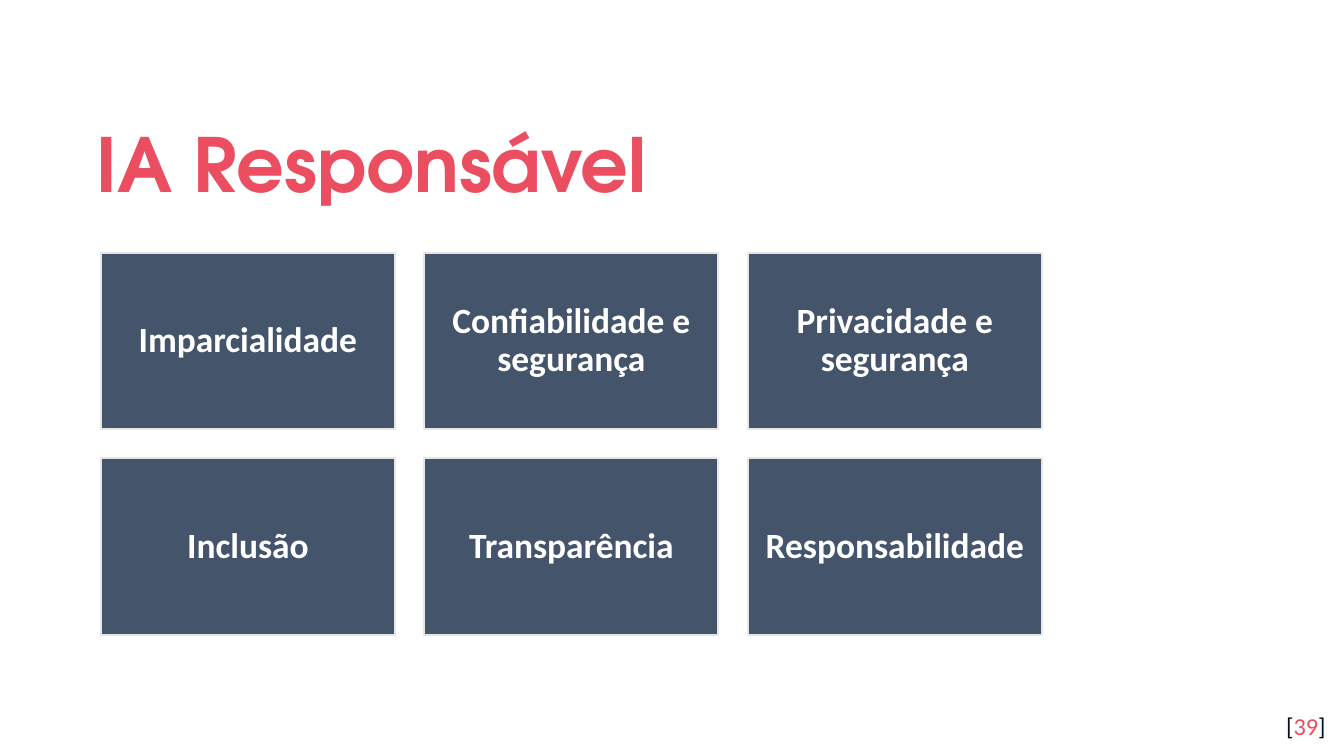
from pptx import Presentation
from pptx.dml.color import RGBColor
from pptx.enum.shapes import MSO_SHAPE
from pptx.enum.text import MSO_ANCHOR, MSO_AUTO_SIZE, PP_ALIGN
from pptx.util import Pt

CORAL = RGBColor(0xEA, 0x4E, 0x60)
NAVY = RGBColor(0x04, 0x0A, 0x24)
SLATE = RGBColor(0x44, 0x54, 0x6A)
LIGHT_GRAY = RGBColor(0xE7, 0xE6, 0xE6)
WHITE = RGBColor(0xFF, 0xFF, 0xFF)

PRINCIPLES = [
    "Imparcialidade", "Confiabilidade e segurança", "Privacidade e segurança",
    "Inclusão", "Transparência", "Responsabilidade",
]
COLUMNS = 3
GRID_LEFT, GRID_TOP = 54, 135.4
CARD_WIDTH, CARD_HEIGHT = 157.6, 94.5
GAP = 15.7


def write_text(sp, runs, size, font="Calibri", bold=False, align=PP_ALIGN.LEFT,
               anchor=MSO_ANCHOR.MIDDLE, spacing=1.0, inset=7.2):
    """Fill the shape with one paragraph of (text, colour) runs."""
    tf = sp.text_frame
    tf.word_wrap = True
    tf.auto_size = MSO_AUTO_SIZE.NONE
    tf.vertical_anchor = anchor
    tf.margin_left = tf.margin_right = Pt(inset)
    tf.margin_top = tf.margin_bottom = Pt(inset)
    p = tf.paragraphs[0]
    p.alignment = align
    p.line_spacing = spacing
    p.space_before = Pt(0)
    for text, color in runs:
        r = p.add_run()
        r.text = text
        r.font.name = font
        r.font.size = Pt(size)
        r.font.bold = bold
        r.font.color.rgb = color


def add_title(s, text):
    sp = s.shapes.title
    sp.left, sp.top, sp.width, sp.height = Pt(44.6), Pt(50.4), Pt(631.4), Pt(66.2)
    write_text(sp, [(text, CORAL)], 40, font="TeX Gyre Adventor", bold=True,
               spacing=1.15)


def add_card(s, text, left, top):
    sp = s.shapes.add_shape(MSO_SHAPE.RECTANGLE, Pt(left), Pt(top),
                            Pt(CARD_WIDTH), Pt(CARD_HEIGHT))
    sp.shadow.inherit = False
    sp.fill.solid()
    sp.fill.fore_color.rgb = SLATE
    sp.line.color.rgb = LIGHT_GRAY
    sp.line.width = Pt(1)
    write_text(sp, [(text, WHITE)], 19, bold=True, align=PP_ALIGN.CENTER,
               spacing=0.9, inset=5.7)


def add_page_number(s, number):
    sp = s.shapes.add_textbox(Pt(674), Pt(373.7), Pt(43.2), Pt(31))
    write_text(sp, [("[", NAVY), (number, CORAL), ("]", NAVY)], 13,
               align=PP_ALIGN.RIGHT, anchor=MSO_ANCHOR.TOP)


def main():
    prs = Presentation()
    prs.slide_width, prs.slide_height = Pt(720), Pt(405)
    s = prs.slides.add_slide(prs.slide_layouts[5])
    add_title(s, "IA Responsável")
    add_page_number(s, "39")
    for i, text in enumerate(PRINCIPLES):
        row, column = divmod(i, COLUMNS)
        add_card(s, text, GRID_LEFT + column * (CARD_WIDTH + GAP),
                 GRID_TOP + row * (CARD_HEIGHT + GAP))
    prs.save("out.pptx")


if __name__ == "__main__":
    main()
